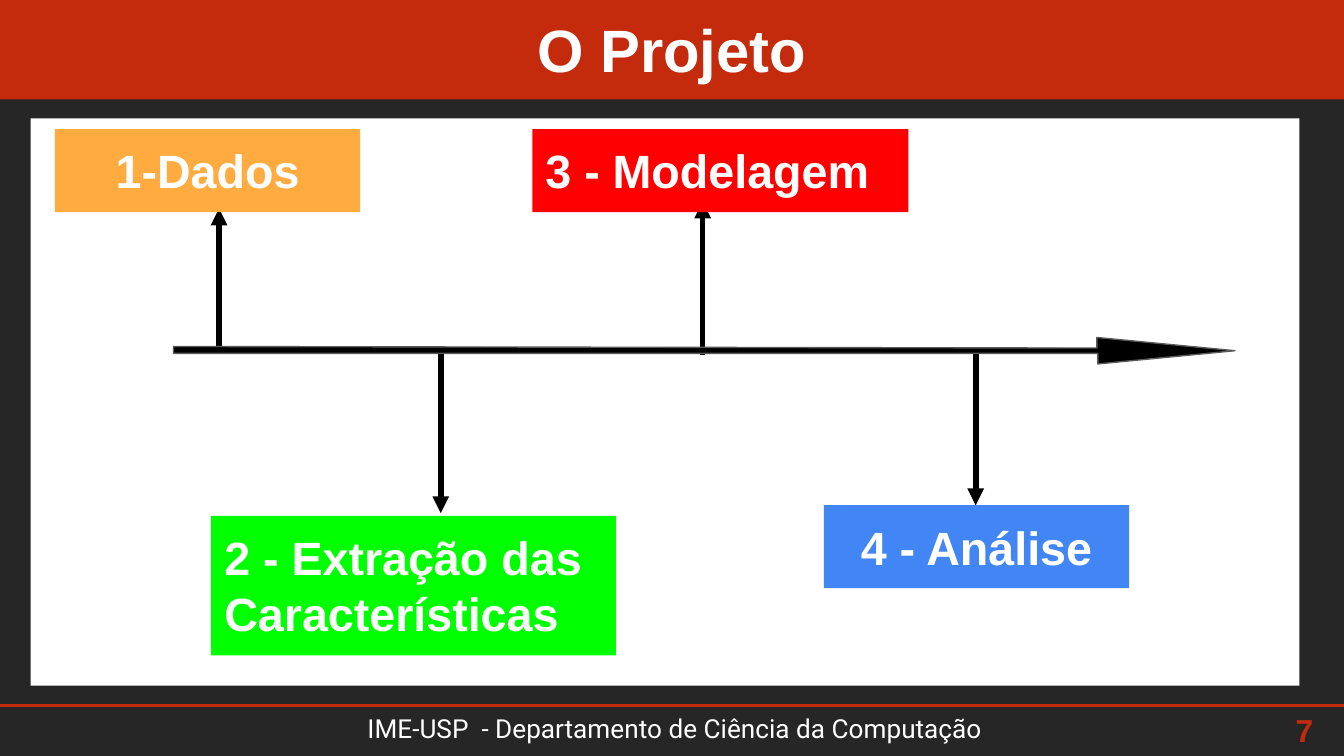
from dataclasses import dataclass
from typing import Optional

from lxml.etree import SubElement
from pptx import Presentation
from pptx.dml.color import RGBColor
from pptx.enum.shapes import MSO_CONNECTOR, MSO_SHAPE
from pptx.enum.text import MSO_ANCHOR, MSO_AUTO_SIZE, PP_ALIGN
from pptx.oxml.ns import qn
from pptx.util import Cm, Pt

WHITE = RGBColor(0xFF, 0xFF, 0xFF)
BLACK = RGBColor(0x00, 0x00, 0x00)
CHARCOAL = RGBColor(0x26, 0x26, 0x26)
GRAY = RGBColor(0x59, 0x59, 0x59)
BRICK = RGBColor(0xC4, 0x2A, 0x0C)
ORANGE = RGBColor(0xFF, 0xAB, 0x40)
GREEN = RGBColor(0x00, 0xFF, 0x00)
RED = RGBColor(0xFF, 0x00, 0x00)
BLUE = RGBColor(0x42, 0x85, 0xF4)

INSET = 0.25


@dataclass(frozen=True)
class Box:
    """A filled rectangle, with lengths in centimetres and text size in points."""
    left: float
    top: float
    width: float
    height: float
    fill: RGBColor
    text: str = ""
    size: float = 25
    bold: bool = True
    font: str = "Arial"
    align: PP_ALIGN = PP_ALIGN.CENTER
    top_inset: float = INSET
    outline: Optional[RGBColor] = None


@dataclass(frozen=True)
class Arrow:
    """A vertical arrow from the timeline to a stage, in centimetres."""
    x: float
    start: float
    end: float


PANEL = Box(0.58, 2.24, 23.98, 10.72, WHITE)
STAGES = [
    Box(1.04, 2.44, 5.77, 1.57, ORANGE, "1-Dados"),
    Box(3.99, 9.75, 7.65, 2.64, GREEN, "2 - Extração das Características",
        align=PP_ALIGN.LEFT),
    Box(10.06, 2.44, 7.11, 1.57, RED, "3 - Modelagem", align=PP_ALIGN.LEFT),
    Box(15.57, 9.55, 5.77, 1.57, BLUE, "4 - Análise"),
]
ARROWS = [
    Arrow(4.14, 6.58, 3.94),
    Arrow(8.33, 6.63, 9.7),
    Arrow(13.28, 6.71, 3.81),
    Arrow(18.44, 6.58, 9.55),
]
TIMELINE = [(3.28, 6.68), (20.75, 6.68), (20.75, 6.88), (23.34, 6.63),
            (20.73, 6.38), (20.73, 6.58), (3.28, 6.55)]
TITLE = Box(0, 0, 25.4, 1.88, BRICK, "O Projeto", size=32)
FOOTER = Box(-1.24, 13.34, 27.99, 0.99, CHARCOAL,
             "IME-USP  - Departamento de Ciência da Computação",
             size=14, bold=False, font="Roboto", top_inset=0.13, outline=BRICK)


def write_text(shape, text: str, size: float, color: RGBColor, bold: bool,
               font: str, align: PP_ALIGN, top_inset: float = INSET):
    frame = shape.text_frame
    frame.word_wrap = True
    frame.margin_left = frame.margin_right = frame.margin_bottom = Cm(INSET)
    frame.margin_top = Cm(top_inset)
    paragraph = frame.paragraphs[0]
    paragraph.alignment = align
    run = paragraph.add_run()
    run.text = text
    run.font.size = Pt(size)
    run.font.bold = bold
    run.font.name = font
    run.font.color.rgb = color
    return frame


def add_box(slide, box: Box) -> None:
    shape = slide.shapes.add_shape(
        MSO_SHAPE.RECTANGLE, Cm(box.left), Cm(box.top), Cm(box.width), Cm(box.height))
    shape.shadow.inherit = False
    shape.fill.solid()
    shape.fill.fore_color.rgb = box.fill
    if box.outline is None:
        shape.line.fill.background()
    else:
        shape.line.color.rgb = box.outline
        shape.line.width = Pt(1.5)
    if box.text:
        frame = write_text(shape, box.text, box.size, WHITE, box.bold,
                           box.font, box.align, box.top_inset)
        frame.vertical_anchor = MSO_ANCHOR.TOP
        frame.auto_size = MSO_AUTO_SIZE.SHAPE_TO_FIT_TEXT


def add_arrow(slide, arrow: Arrow) -> None:
    connector = slide.shapes.add_connector(
        MSO_CONNECTOR.STRAIGHT,
        Cm(arrow.x), Cm(arrow.start), Cm(arrow.x), Cm(arrow.end))
    connector.line.color.rgb = BLACK
    connector.line.width = Pt(3)
    SubElement(connector.line._get_or_add_ln(), qn("a:tailEnd"), type="triangle")
    SubElement(connector._element.spPr, qn("a:effectLst"))


def add_timeline(slide) -> None:
    points = [(Cm(x), Cm(y)) for x, y in TIMELINE]
    builder = slide.shapes.build_freeform(*points[0])
    builder.add_line_segments(points[1:], close=True)
    shape = builder.convert_to_shape()
    shape.shadow.inherit = False
    shape.fill.solid()
    shape.fill.fore_color.rgb = BLACK
    shape.line.color.rgb = GRAY
    shape.line.width = Pt(0.75)


def add_page_number(slide, number: str) -> None:
    text_box = slide.shapes.add_textbox(Cm(23.55), Cm(13.31), Cm(1.52), Cm(1.09))
    frame = write_text(text_box, number, 17, BRICK, True, "Arial", PP_ALIGN.RIGHT)
    frame.vertical_anchor = MSO_ANCHOR.MIDDLE
    frame.paragraphs[0].line_spacing = 0.8


def main() -> None:
    presentation = Presentation()
    presentation.slide_width = Cm(25.4)
    presentation.slide_height = Cm(14.29)
    slide = presentation.slides.add_slide(presentation.slide_layouts[6])
    slide.background.fill.solid()
    slide.background.fill.fore_color.rgb = CHARCOAL

    add_box(slide, PANEL)
    for arrow in ARROWS:
        add_arrow(slide, arrow)
    add_timeline(slide)
    for box in [*STAGES, TITLE, FOOTER]:
        add_box(slide, box)
    add_page_number(slide, "7")
    presentation.save("out.pptx")


if __name__ == "__main__":
    main()
